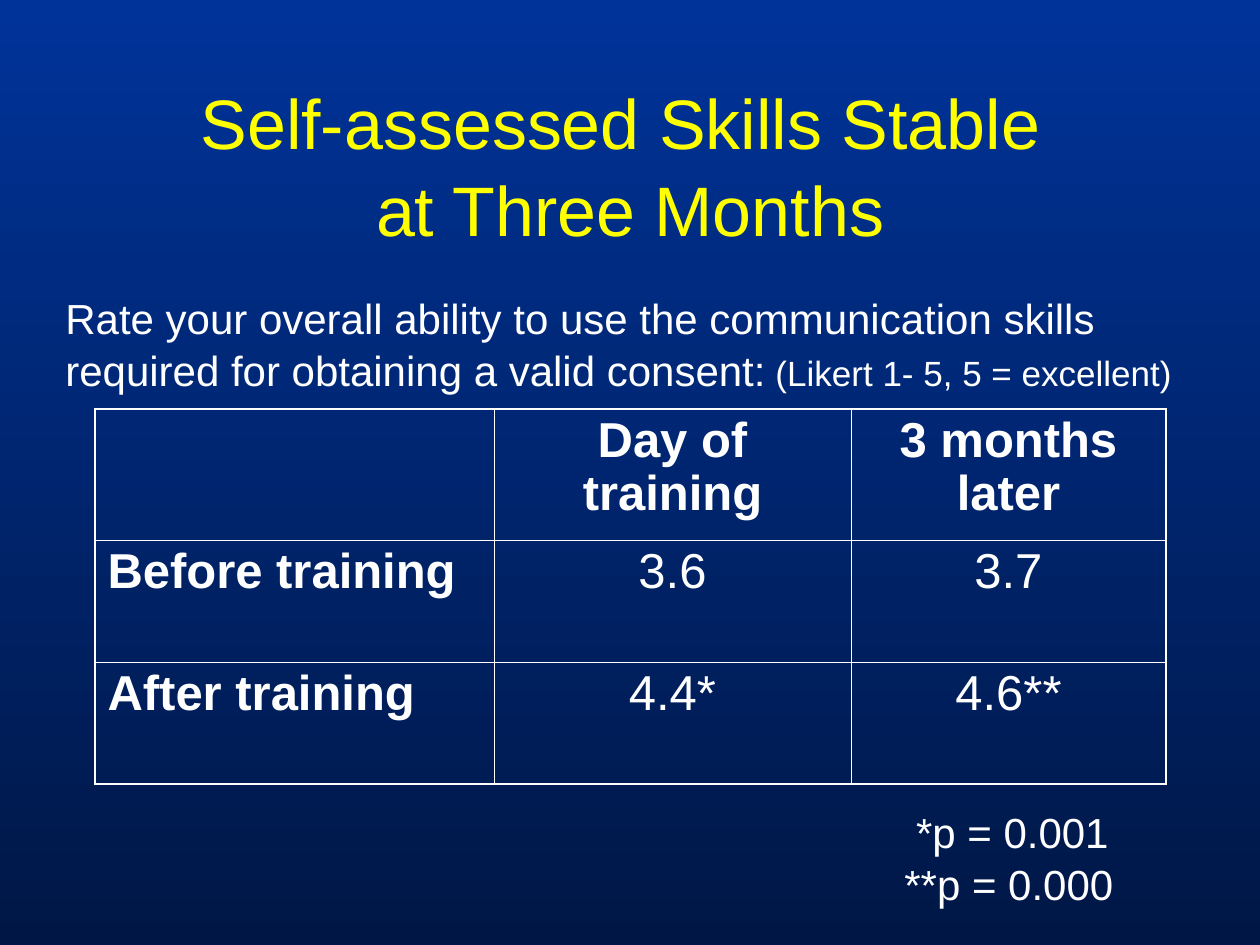
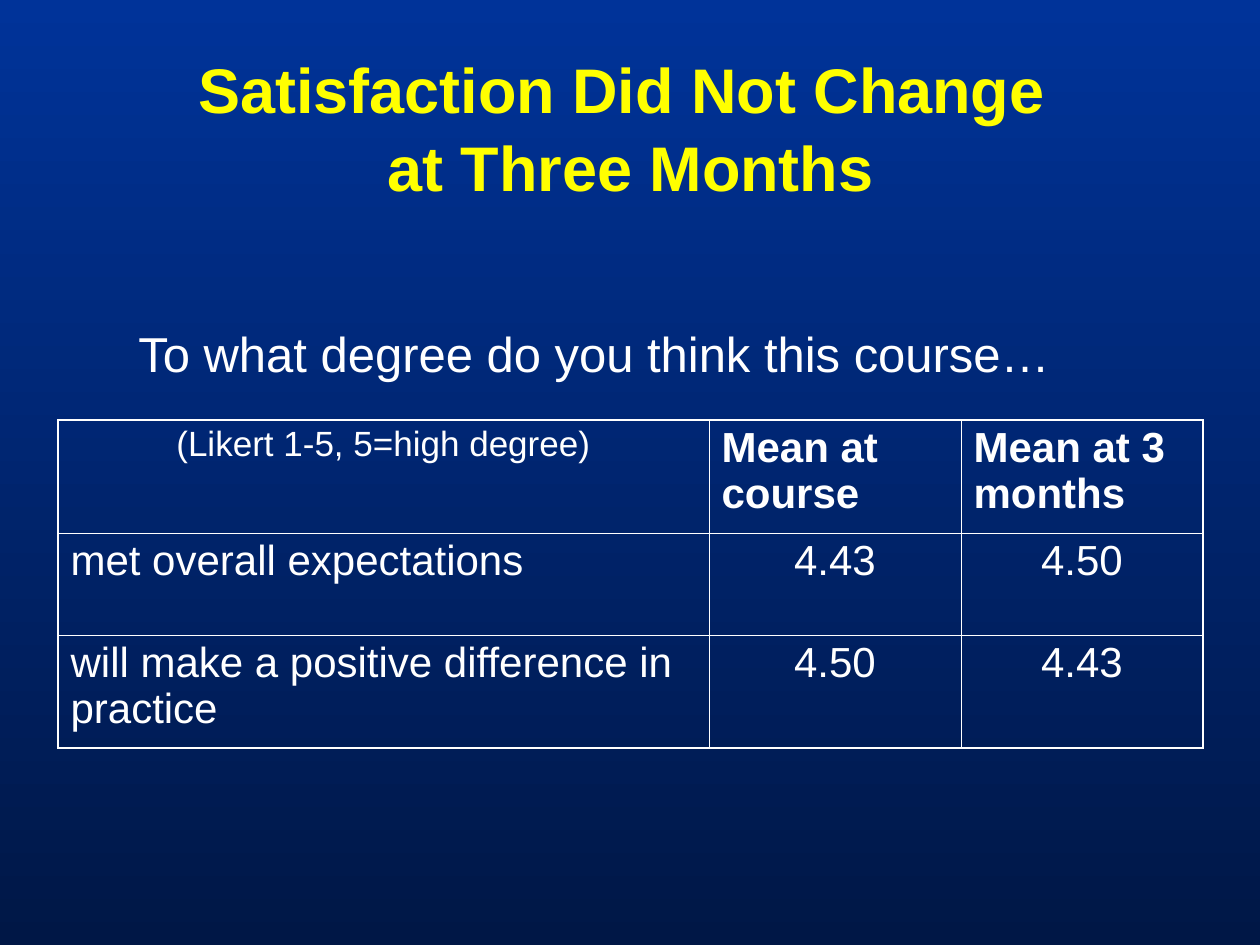
from lxml import etree
from pptx import Presentation
from pptx.dml.color import RGBColor
from pptx.enum.text import MSO_ANCHOR, MSO_AUTO_SIZE, PP_ALIGN
from pptx.oxml.ns import qn
from pptx.util import Emu, Pt

LEFT, CENTER = PP_ALIGN.LEFT, PP_ALIGN.CENTER
MIDDLE = MSO_ANCHOR.MIDDLE
NO_FIT = MSO_AUTO_SIZE.NONE
FONT = "Arial"
WHITE, YELLOW = "FFFFFF", "FFFF00"
SKY, NIGHT = "003399", "001746"
THICK, THIN = 1.08, 0.45
TEXT_GAP, CELL_GAP = 1.04, 0.97


def px(count):
    """Turn px into EMU at 126 px to the inch."""
    return Emu(round(count * 914400 / 126))


def tint(code):
    """Return the colour for a hex string."""
    return RGBColor.from_string(code)


def style(run, size, color=WHITE, bold=False):
    """Format one run."""
    font = run.font
    font.name, font.size, font.bold = FONT, Pt(size), bold
    font.color.rgb = tint(color)


def fill_text(frame, text, size, color=WHITE, bold=False, align=LEFT, gap=TEXT_GAP):
    """Write text into a frame and format every line of it."""
    frame.text = text
    for line in frame.paragraphs:
        line.alignment = align
        line.line_spacing = gap
        for run in line.runs:
            style(run, size, color, bold)


def paint(master):
    """Give the master its vertical gradient."""
    fill = master.background.fill
    fill.gradient()
    fill.gradient_angle = 270
    for stop, code in zip(fill.gradient_stops, (SKY, NIGHT)):
        stop.color.rgb = tint(code)


def add_title(slide, text, box, size, bold=False, foot=6):
    """Place the yellow title, with room left at its foot."""
    title = slide.shapes.title
    title.left, title.top, title.width, title.height = map(px, box)
    frame = title.text_frame
    frame.auto_size = NO_FIT
    frame.word_wrap = True
    frame.vertical_anchor = MIDDLE
    frame.margin_bottom = px(foot)
    fill_text(frame, text, size, YELLOW, bold, CENTER)


def add_text(slide, text, box, size):
    """Add a wrapped white text box and return its frame."""
    frame = slide.shapes.add_textbox(*map(px, box)).text_frame
    frame.word_wrap = True
    fill_text(frame, text, size)
    return frame


def add_edge(cell, side, width):
    """Draw one white border of a cell."""
    props = cell._tc.get_or_add_tcPr()
    line = etree.SubElement(props, qn(f"a:ln{side}"), w=str(Pt(width)))
    solid = etree.SubElement(line, qn("a:solidFill"))
    etree.SubElement(solid, qn("a:srgbClr"), val=WHITE)


def add_grid(slide, data, spot, cols, rows, look):
    """Add a clear table; look(row, col) gives size, bold and alignment."""
    box = (*spot, sum(cols), sum(rows))
    table = slide.shapes.add_table(len(rows), len(cols), *map(px, box)).table
    table.first_row = table.horz_banding = False
    for col, width in zip(table.columns, cols):
        col.width = px(width)
    for row, height in zip(table.rows, rows):
        row.height = px(height)
    for r, texts in enumerate(data):
        for c, text in enumerate(texts):
            cell = table.cell(r, c)
            outer = {"L": c == 0, "R": c == len(cols) - 1,
                     "T": r == 0, "B": r == len(rows) - 1}
            for side, rim in outer.items():
                add_edge(cell, side, THICK if rim else THIN)
            cell.fill.background()
            size, bold, align = look(r, c)
            fill_text(cell.text_frame, text, size, WHITE, bold, align, CELL_GAP)


def skill_look(r, c):
    """Style the skills table: bold heads, centred values."""
    return 28, r == 0 or c == 0, CENTER if c else LEFT


def mean_look(r, c):
    """Style the means table: small scale note, bold heads, centred values."""
    if r == 0:
        return (24, True, LEFT) if c else (20, False, CENTER)
    return 24, False, CENTER if c else LEFT


def add_skills(slide):
    """Build the slide on self-assessed skills."""
    add_title(slide, "Self-assessed Skills Stable \nat Three Months",
              (42, 84, 1176, 158), 40)
    data = [("", "Day of training", "3 months later"),
            ("Before training", "3.6", "3.7"),
            ("After training", "4.4*", "4.6**")]
    add_grid(slide, data, (95, 409), (399, 357, 315), (131, 122, 122), skill_look)
    add_text(slide, " *p = 0.001\n**p = 0.000", (892, 798, 325, 113), 24)
    ask = add_text(slide, "Rate your overall ability to use the communication skills\n"
                   "required for obtaining a valid consent:", (53, 284, 1207, 113), 24)
    scale = ask.paragraphs[-1].add_run()
    scale.text = " (Likert 1- 5, 5 = excellent)"
    style(scale, 20)


def add_means(slide):
    """Build the slide on satisfaction."""
    add_title(slide, "Satisfaction Did Not Change \nat Three Months",
              (95, 84, 1071, 158), 36, True, 81)
    data = [("(Likert 1-5, 5=high degree)", "Mean at course", "Mean at 3 months"),
            ("met overall expectations", "4.43", "4.50"),
            ("will make a positive difference in practice", "4.50", "4.43")]
    add_grid(slide, data, (58, 420), (651, 252, 242), (113, 102, 113), mean_look)
    add_text(slide, "To what degree do you think this course…", (126, 315, 1008, 72), 28)


def main():
    """Build and save both slides."""
    deck = Presentation()
    deck.slide_width, deck.slide_height = px(1260), px(945)
    paint(deck.slide_master)
    for build in (add_skills, add_means):
        build(deck.slides.add_slide(deck.slide_layouts[5]))
    deck.save("out.pptx")


if __name__ == "__main__":
    main()
